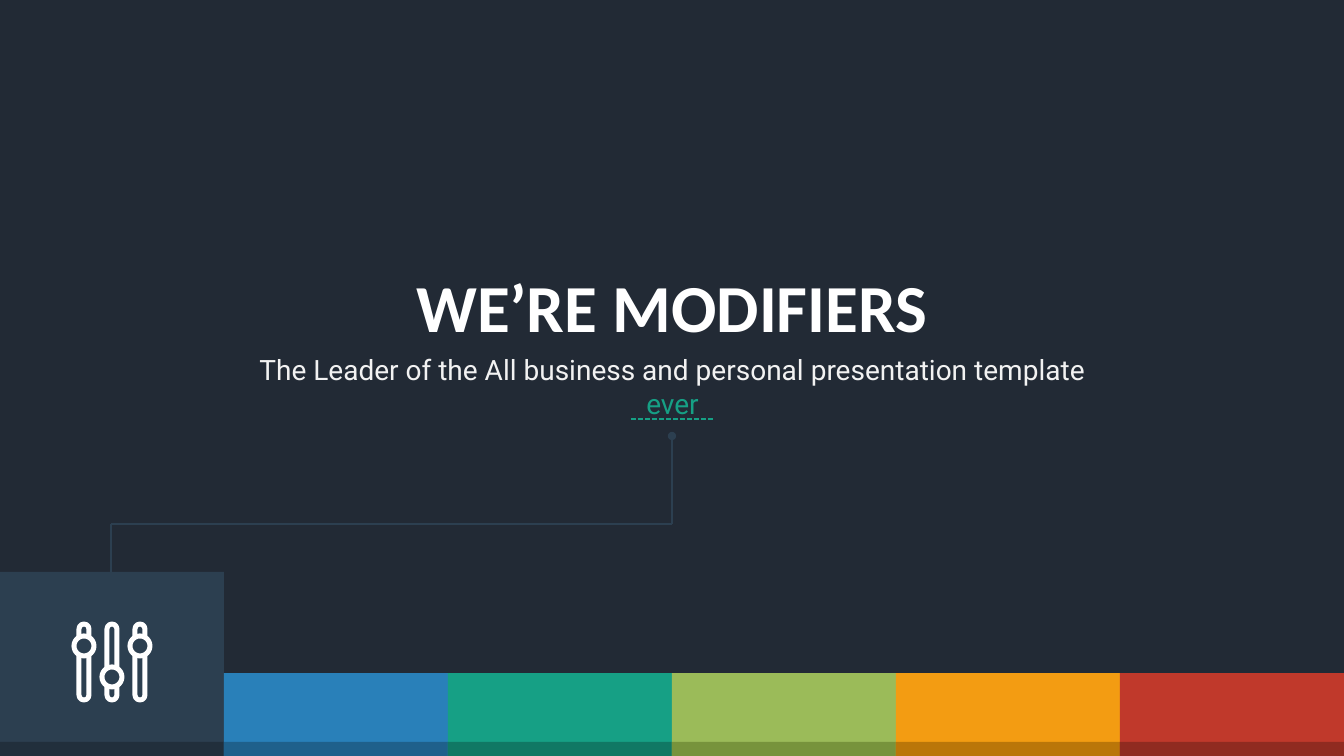
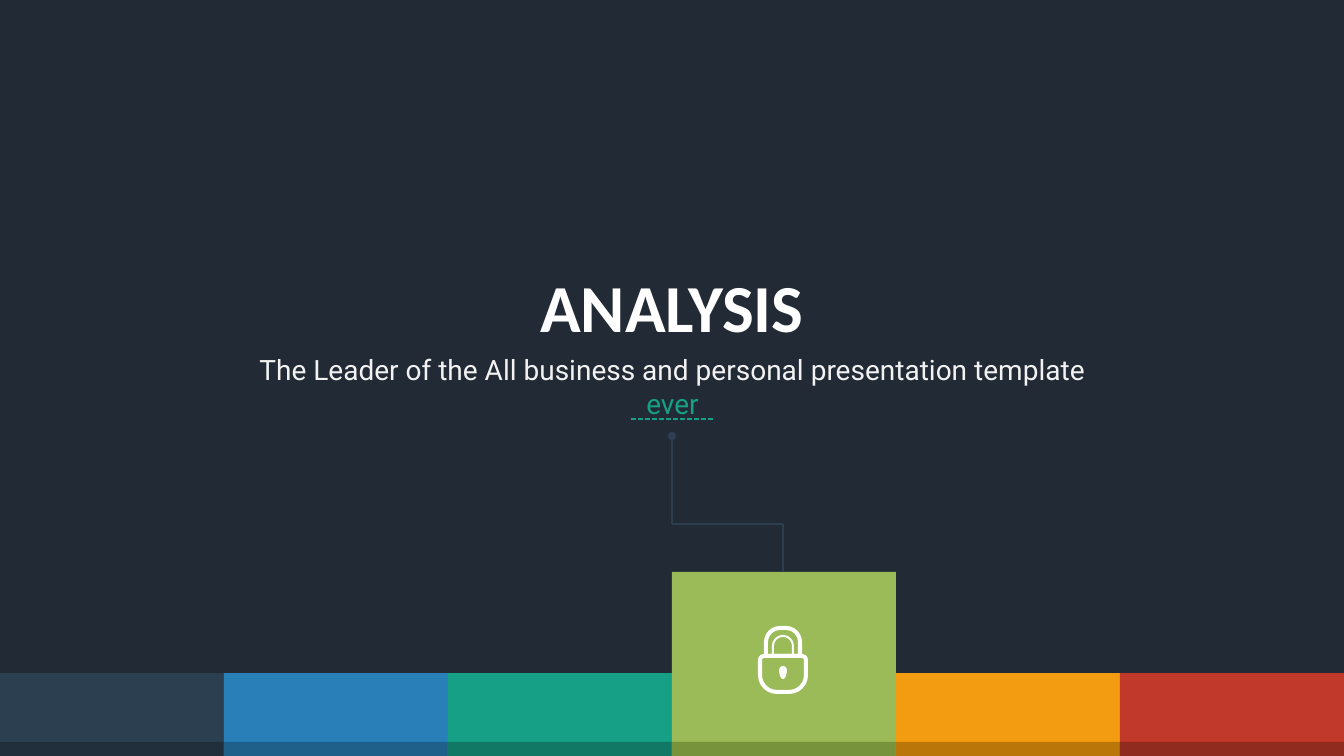
from dataclasses import dataclass
from math import cos, pi, sin
from typing import Callable, Optional

from lxml import etree
from pptx import Presentation
from pptx.dml.color import RGBColor
from pptx.enum.dml import MSO_LINE
from pptx.enum.shapes import MSO_CONNECTOR, MSO_SHAPE
from pptx.enum.text import MSO_ANCHOR, MSO_AUTO_SIZE, PP_ALIGN
from pptx.oxml.ns import qn
from pptx.util import Pt

RECT, OVAL = MSO_SHAPE.RECTANGLE, MSO_SHAPE.OVAL
PILL, ARCH = MSO_SHAPE.ROUNDED_RECTANGLE, MSO_SHAPE.ROUND_2_SAME_RECTANGLE
STRAIGHT, DASH = MSO_CONNECTOR.STRAIGHT, MSO_LINE.SQUARE_DOT
TOP, CENTER, FIT = MSO_ANCHOR.TOP, PP_ALIGN.CENTER, MSO_AUTO_SIZE.SHAPE_TO_FIT_TEXT

NIGHT = RGBColor(0x22, 0x2A, 0x35)
SLATE = RGBColor(0x2C, 0x3F, 0x50)
GREEN = RGBColor(0x16, 0xA0, 0x85)
WHITE = RGBColor(0xFF, 0xFF, 0xFF)
PALE = RGBColor(0xF2, 0xF2, 0xF2)

WIDE, HIGH = 1344, 756
SCALE = 12192000 / WIDE
MID = WIDE // 2
TALL, LOW, SHADE = 572, 673, 742
BEND = 524

TITLE = {"name": "Calibri", "size": Pt(48), "bold": True}
LEAD = {"name": "Roboto", "size": Pt(20), "bold": False}
FRAME = {"vertical_anchor": TOP, "auto_size": FIT}


@dataclass(frozen=True)
class Band:
    fill: RGBColor
    shade: RGBColor


BANDS = [
    Band(SLATE, RGBColor(0x21, 0x2F, 0x3C)),
    Band(RGBColor(0x29, 0x80, 0xB9), RGBColor(0x1F, 0x60, 0x8B)),
    Band(GREEN, RGBColor(0x10, 0x78, 0x64)),
    Band(RGBColor(0x9B, 0xBB, 0x59), RGBColor(0x77, 0x93, 0x3C)),
    Band(RGBColor(0xF3, 0x9C, 0x12), RGBColor(0xBA, 0x76, 0x09)),
    Band(RGBColor(0xC0, 0x39, 0x2B), RGBColor(0x90, 0x2B, 0x20)),
]
STEP = WIDE // len(BANDS)


def emu(*px: float) -> list[int]:
    return [round(v * SCALE) for v in px]


def block(slide, kind, box: tuple, fill: Optional[RGBColor] = None,
          edge: int = 0, bends: tuple = ()) -> None:
    """Draw a preset shape; edge is the width of a white outline in px."""
    shape = slide.shapes.add_shape(kind, *emu(*box))
    shape.shadow.inherit = False
    for i, bend in enumerate(bends):
        shape.adjustments[i] = bend
    if fill is None:
        shape.fill.background()
    else:
        shape.fill.solid()
        shape.fill.fore_color.rgb = fill
    if edge:
        shape.line.color.rgb = WHITE
        shape.line.width = emu(edge)[0]
    else:
        shape.line.fill.background()


def rule(slide, ends: tuple, color: RGBColor = SLATE, dash=None,
         dot: bool = False) -> None:
    """Draw a straight line, with a round head at its start if dot is set."""
    wire = slide.shapes.add_connector(STRAIGHT, *emu(*ends))
    wire.line.color.rgb = color
    wire.line.width = Pt(1.25)
    if dash is not None:
        wire.line.dash_style = dash
    props = wire._element.spPr
    if dot:
        etree.SubElement(props.find(qn("a:ln")), qn("a:headEnd"), type="oval")
    etree.SubElement(props, qn("a:effectLst"))


def write(shape, box: tuple, wrap: bool, style: dict, *runs: tuple) -> None:
    shape.left, shape.top, shape.width, shape.height = emu(*box)
    frame = shape.text_frame
    for key, value in {**FRAME, "word_wrap": wrap}.items():
        setattr(frame, key, value)
    para = frame.paragraphs[0]
    para.alignment = CENTER
    for text, color in runs:
        run = para.add_run()
        run.text = text
        for key, value in style.items():
            setattr(run.font, key, value)
        run.font.color.rgb = color


def mixer(slide, mid: int, fill: RGBColor) -> None:
    """Draw three sliders with their knobs."""
    for shift, knob in ((-28, 646), (0, 677), (28, 646)):
        x = mid + shift
        block(slide, PILL, (x - 5, 624, 10, 76), edge=5, bends=(0.5,))
        block(slide, OVAL, (x - 10, knob - 10, 20, 20), fill, edge=5)


def lock(slide, mid: int, fill: RGBColor) -> None:
    """Draw a padlock with a keyhole."""
    x = mid - 1
    block(slide, ARCH, (x - 17, 628, 34, 28), edge=4, bends=(0.5, 0))
    block(slide, ARCH, (x - 10, 636, 20, 20), edge=2, bends=(0.5, 0))
    block(slide, ARCH, (x - 23, 656, 46, 36), fill, edge=4, bends=(0.11, 0.47))
    arc = [(x - 4 * cos(pi * i / 12), 671 - 5 * sin(pi * i / 12)) for i in range(13)]
    tail = [(x + 3, 676), (x + 1, 679), (x - 1, 679), (x - 3, 676)]
    dots = [emu(*dot) for dot in arc + tail]
    pen = slide.shapes.build_freeform(*dots[0])
    pen.add_line_segments(dots[1:])
    hole = pen.convert_to_shape()
    hole.shadow.inherit = False
    hole.fill.solid()
    hole.fill.fore_color.rgb = WHITE
    hole.line.fill.background()


@dataclass(frozen=True)
class Page:
    title: str
    width: int
    pick: int
    icon: Callable


PAGES = [
    Page("WE’RE MODIFIERS", 538, 0, mixer),
    Page("ANALYSIS", 286, 3, lock),
]


def draw(deck, page: Page) -> None:
    slide = deck.slides.add_slide(deck.slide_layouts[5])
    for i, band in enumerate(BANDS):
        top = TALL if i == page.pick else LOW
        block(slide, RECT, (i * STEP, top, STEP, HIGH - top), band.fill)
        block(slide, RECT, (i * STEP, SHADE, STEP, HIGH - SHADE), band.shade)
    mid = page.pick * STEP + STEP // 2
    rule(slide, (mid - 1, BEND, MID, BEND))
    rule(slide, (mid - 1, BEND, mid - 1, TALL))
    write(slide.shapes.title, (MID - page.width // 2, 260, page.width, 92), False,
          TITLE, (page.title, WHITE))
    box = (235, 348, 875, 44)
    write(slide.shapes.add_textbox(*emu(*box)), box, True, LEAD,
          ("The Leader of the All business and personal presentation template ", PALE),
          ("ever", GREEN))
    rule(slide, (MID - 41, 419, MID + 41, 419), GREEN, DASH)
    rule(slide, (MID, 436, MID, BEND), dot=True)
    page.icon(slide, mid, BANDS[page.pick].fill)


def main() -> None:
    deck = Presentation()
    deck.slide_width, deck.slide_height = emu(WIDE, HIGH)
    back = deck.slide_master.background.fill
    back.solid()
    back.fore_color.rgb = NIGHT
    for page in PAGES:
        draw(deck, page)
    deck.save("out.pptx")


if __name__ == "__main__":
    main()
